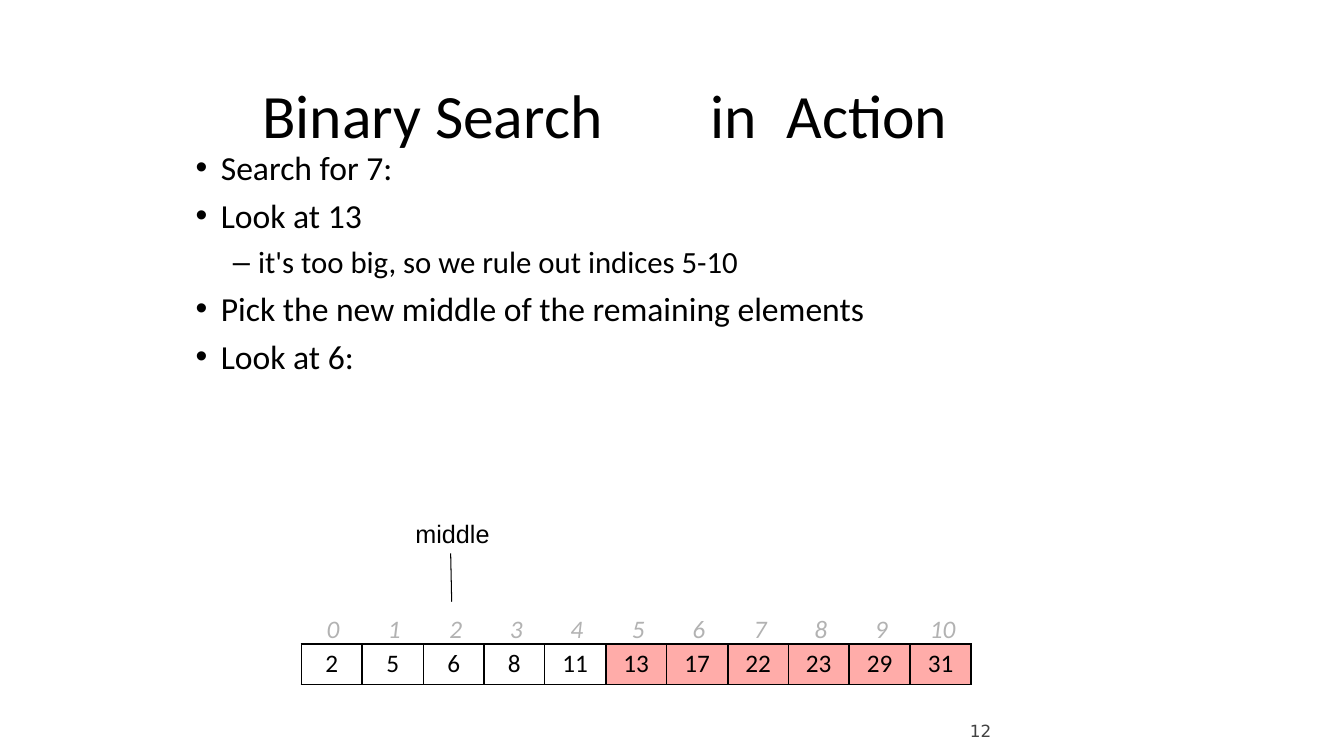
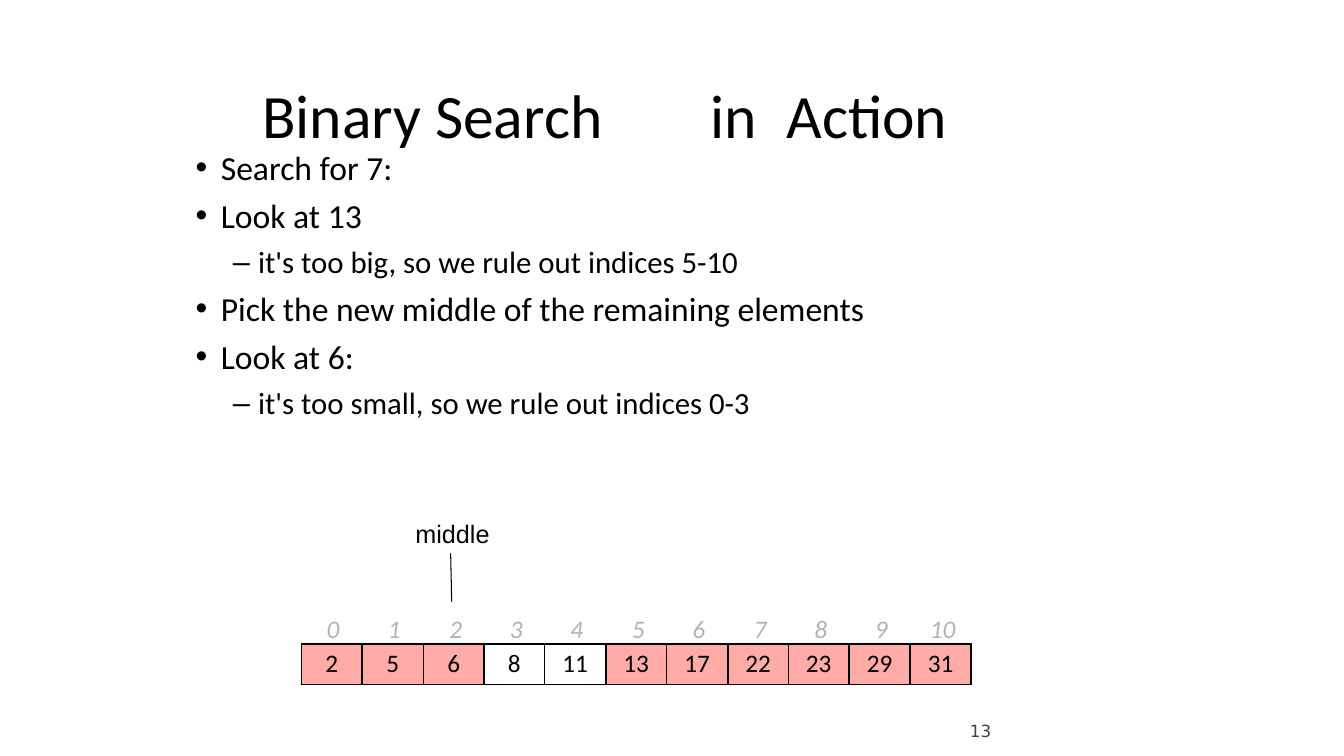
from dataclasses import dataclass

import pptx
import pptx.dml.color
import pptx.enum.shapes
import pptx.enum.text
import pptx.oxml
import pptx.oxml.ns
import pptx.slide
import pptx.table
import pptx.text.text
import pptx.util

PX = 9144
BLACK, WHITE, RULED_OUT, INDEX_GREY, NUMBER_GREY = (
    "000000", "FFFFFF", "FFACA9", "B2B2B2", "424242")
TITLE = "Binary Search\tin\tAction"
VALUES = (2, 5, 6, 8, 11, 13, 17, 22, 23, 29, 31)
ARRAY_LEFT, ARRAY_TOP, ARRAY_WIDTH, ARRAY_HEIGHT = 299, 639, 664, 40
INDEX_LEFT = 324
BULLET_GAP = 25

LEFT = pptx.enum.text.PP_ALIGN.LEFT
CENTER = pptx.enum.text.PP_ALIGN.CENTER
TOP = pptx.enum.text.MSO_ANCHOR.TOP
MIDDLE = pptx.enum.text.MSO_ANCHOR.MIDDLE


@dataclass(frozen=True)
class Box:
    left: int
    top: int
    width: int
    height: int

    def emu(self) -> list[int]:
        return [px(v) for v in (self.left, self.top, self.width, self.height)]


@dataclass(frozen=True)
class Style:
    size: int
    font: str = "Calibri"
    color: str = BLACK
    italic: bool = False


@dataclass(frozen=True)
class Level:
    style: Style
    bullet: str
    indent: int


@dataclass(frozen=True)
class Item:
    text: str
    level: int = 0


@dataclass(frozen=True)
class Step:
    number: int
    items: tuple[Item, ...]
    ruled_out: frozenset[int]


LEVELS = (Level(Style(24), "•", 27), Level(Style(22), "–", 64))
FIRST_ITEMS = (
    Item("Search for 7:"),
    Item("Look at 13"),
    Item("it's too big, so we rule out indices 5-10", 1),
    Item("Pick the new middle of the remaining elements"),
    Item("Look at 6:"),
)
UPPER_HALF = frozenset(range(5, 11))
STEPS = (
    Step(12, FIRST_ITEMS, UPPER_HALF),
    Step(13, FIRST_ITEMS + (Item("it's too small, so we rule out indices 0-3", 1),),
         UPPER_HALF | frozenset(range(3))),
)


def px(value: int) -> pptx.util.Emu:
    return pptx.util.Emu(value * PX)


def rgb(value: str) -> pptx.dml.color.RGBColor:
    return pptx.dml.color.RGBColor.from_string(value)


def column_edge(i: int) -> int:
    return round(ARRAY_WIDTH * i / len(VALUES))


def add_xml(parent, tag: str, **attrs: object):
    child = parent.makeelement(pptx.oxml.ns.qn(tag), {k: str(v) for k, v in attrs.items()})
    parent.append(child)
    return child


def style_paragraph(p, style: Style, align=LEFT, before: float = 0) -> None:
    p.alignment = align
    p.space_before = pptx.util.Pt(before)
    for r in p.runs:
        r.font.size = pptx.util.Pt(style.size)
        r.font.name = style.font
        r.font.italic = style.italic
        r.font.color.rgb = rgb(style.color)


def set_tabs(p, stops: list[int], align: str) -> None:
    tabs = add_xml(p._p.get_or_add_pPr(), "a:tabLst")
    for stop in stops:
        add_xml(tabs, "a:tab", pos=px(stop), algn=align)


def set_bullet(p, level: Level) -> None:
    pPr = p._p.get_or_add_pPr()
    pPr.set("marL", str(px(level.indent)))
    pPr.set("indent", str(-px(BULLET_GAP)))
    add_xml(pPr, "a:buFont", typeface="Arial")
    add_xml(pPr, "a:buChar", char=level.bullet)


def set_frame(tf: pptx.text.text.TextFrame, anchor=TOP, top: int = 0) -> None:
    tf.margin_left = tf.margin_right = tf.margin_bottom = 0
    tf.margin_top = px(top)
    tf.vertical_anchor = anchor
    tf.word_wrap = True
    tf.auto_size = pptx.enum.text.MSO_AUTO_SIZE.NONE


def place(sp, box: Box) -> None:
    sp.left, sp.top, sp.width, sp.height = box.emu()


def add_label(slide: pptx.slide.Slide, text: str, box: Box, style: Style, anchor=TOP):
    tf = slide.shapes.add_textbox(*box.emu()).text_frame
    set_frame(tf, anchor)
    tf.text = text
    style_paragraph(tf.paragraphs[0], style)
    return tf.paragraphs[0]


def fill_title(slide: pptx.slide.Slide) -> None:
    sp = slide.shapes.title
    place(sp, Box(260, 75, 1000, 75))
    set_frame(sp.text_frame, MIDDLE, 1)
    sp.text_frame.text = TITLE
    p = sp.text_frame.paragraphs[0]
    style_paragraph(p, Style(44), before=1)
    set_tabs(p, [445, 520], "l")


def fill_body(slide: pptx.slide.Slide, items: tuple[Item, ...]) -> None:
    sp = slide.placeholders[1]
    place(sp, Box(192, 138, 667, 281))
    tf = sp.text_frame
    set_frame(tf, top=8)
    tf.text = "\n".join(item.text for item in items)
    for p, item in zip(tf.paragraphs, items):
        level = LEVELS[item.level]
        p.level = item.level
        style_paragraph(p, level.style, before=5.5)
        set_bullet(p, level)


def set_borders(cell: pptx.table._Cell) -> None:
    tcPr = cell._tc.get_or_add_tcPr()
    for i, side in enumerate(("a:lnL", "a:lnR", "a:lnT", "a:lnB")):
        ln = tcPr.makeelement(pptx.oxml.ns.qn(side), {"w": str(pptx.util.Pt(1.5))})
        tcPr.insert(i, ln)
        add_xml(add_xml(ln, "a:solidFill"), "a:srgbClr", val=BLACK)


def add_array(slide: pptx.slide.Slide, ruled_out: frozenset[int]) -> None:
    box = Box(ARRAY_LEFT, ARRAY_TOP, ARRAY_WIDTH, ARRAY_HEIGHT)
    table = slide.shapes.add_table(1, len(VALUES), *box.emu()).table
    table.first_row = table.horz_banding = False
    for i, value in enumerate(VALUES):
        table.columns[i].width = px(column_edge(i + 1) - column_edge(i))
        cell = table.cell(0, i)
        cell.margin_left = cell.margin_right = cell.margin_top = cell.margin_bottom = 0
        cell.vertical_anchor = MIDDLE
        cell.fill.solid()
        cell.fill.fore_color.rgb = rgb(RULED_OUT if i in ruled_out else WHITE)
        cell.text_frame.text = str(value)
        style_paragraph(cell.text_frame.paragraphs[0], Style(18), CENTER)
        set_borders(cell)


def add_indices(slide: pptx.slide.Slide) -> None:
    text = "\t".join(str(i) for i in range(len(VALUES)))
    p = add_label(slide, text, Box(INDEX_LEFT, 608, 660, 31),
                  Style(18, color=INDEX_GREY, italic=True))
    set_tabs(p, [7 + column_edge(i) for i in range(1, len(VALUES))], "ctr")


def add_middle_marker(slide: pptx.slide.Slide) -> None:
    add_label(slide, "middle", Box(412, 514, 90, 30), Style(18, "Arial"))
    line = slide.shapes.add_connector(
        pptx.enum.shapes.MSO_CONNECTOR.STRAIGHT, px(447), px(549), px(448), px(597))
    line.line.color.rgb = rgb(BLACK)
    line.line.width = pptx.util.Pt(0.75)
    add_xml(line._element.spPr, "a:effectLst")


def add_step(prs, step: Step) -> None:
    slide = prs.slides.add_slide(prs.slide_layouts[1])
    fill_title(slide)
    fill_body(slide, step.items)
    add_array(slide, step.ruled_out)
    add_indices(slide)
    add_middle_marker(slide)
    add_label(slide, str(step.number), Box(962, 714, 27, 23),
              Style(12, "DejaVu Sans", NUMBER_GREY), MIDDLE)


def main() -> None:
    prs = pptx.Presentation()
    prs.slide_width, prs.slide_height = px(1333), px(750)
    for step in STEPS:
        add_step(prs, step)
    prs.save("out.pptx")


if __name__ == "__main__":
    main()
